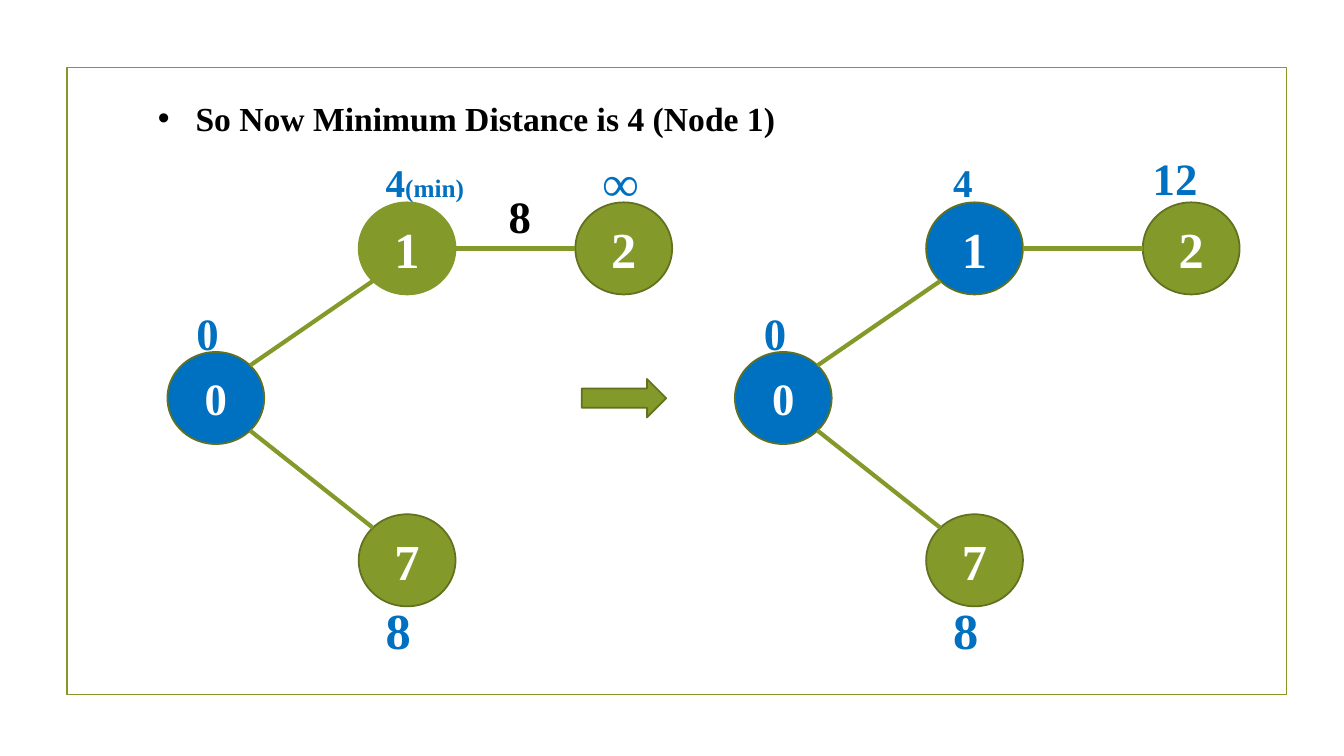
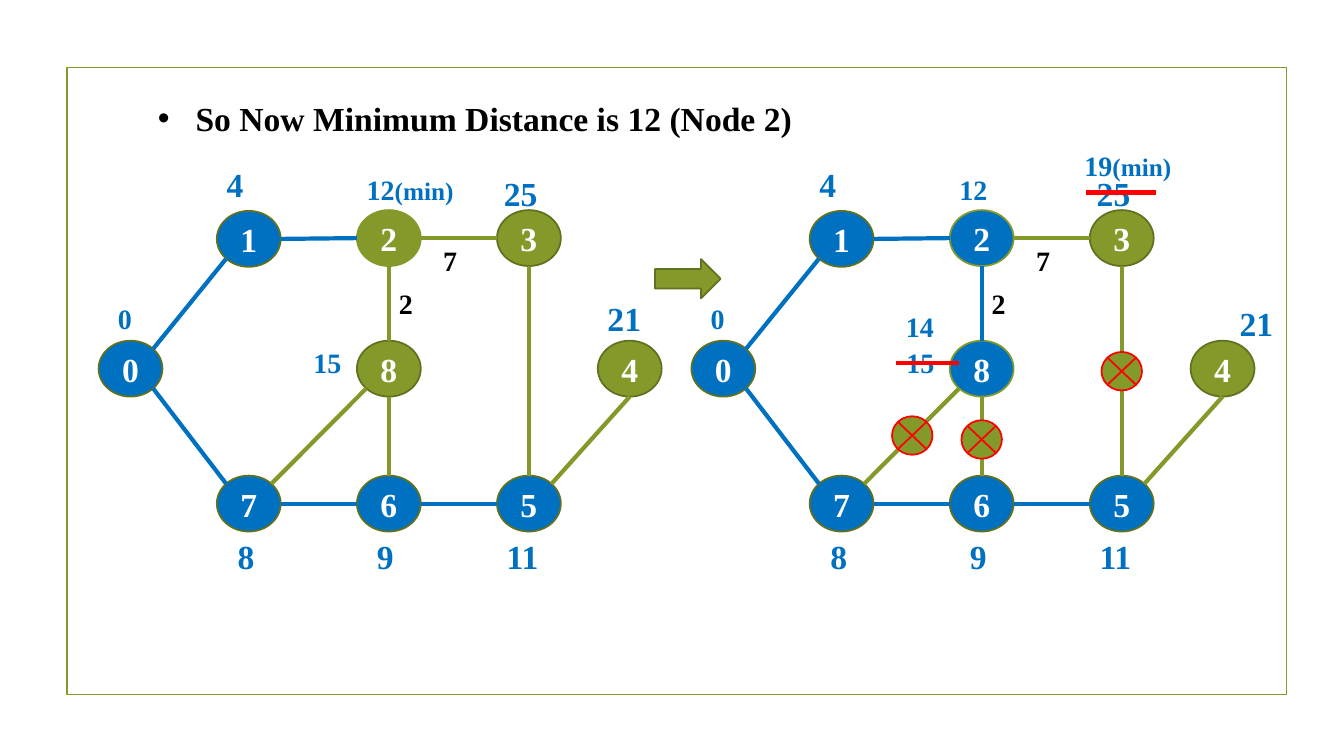
from math import sqrt

from pptx import Presentation
from pptx import util as u
from pptx.dml.color import RGBColor
from pptx.enum import shapes, text
from pptx.oxml.ns import qn
from lxml import etree

Cm, Pt = u.Cm, u.Pt

THEME = {
    "font": "Times New Roman",
    "olive": RGBColor(0x83, 0x99, 0x2A),
    "dark_olive": RGBColor(0x61, 0x71, 0x1F),
    "blue": RGBColor(0x00, 0x70, 0xC0),
    "red": RGBColor(0xFF, 0x00, 0x00),
    "black": RGBColor(0x00, 0x00, 0x00),
    "white": RGBColor(0xFF, 0xFF, 0xFF),
    "title_size": 24,
    "note_size": 18,
    "outline": 1.25,
    "edge": 3,
}

# Where an edge leaves a node, in radii from its centre
d = sqrt(0.5)
SIDES = {"N": (0, -1), "S": (0, 1), "W": (-1, 0), "E": (1, 0),
         "NW": (-d, -d), "NE": (d, -d), "SW": (-d, d), "SE": (d, d)}

# Nodes: centre x, centre y, type size. Edges: from, side, to, side.
# Labels: text, left, top, width, type size, colour.
# All places are in cm; graph parts are relative to the shift of their graph.
STEPS = [
    {
        "title": "So Now Minimum Distance is 4 (Node 1)",
        "node": (2.44, 2.32),
        "nodes": {"0": (5.44, 10.03, 32), "1": (10.26, 6.26, 36),
                  "2": (15.72, 6.26, 36), "7": (10.26, 14.12, 36)},
        "edges": ["0 NE 1 SW", "0 SE 7 NW", "1 E 2 W"],
        "labels": [("0", 4.7, 7.59, 0.91, 32, "blue"),
                   ("8", 9.47, 14.96, 1.98, 36, "blue")],
        "arrow": (14.66, 9.55, 2.13, 0.97),
        "graphs": [
            {"shift": 0, "done": "0", "olive_outline": "1", "tree": [],
             "labels": [("8", 12.57, 4.62, 1.75, 32, "black"),
                        ("4(min)", 9.47, 3.86, 3.1, 28, "blue"),
                        ("∞", 14.94, 3.68, 1.55, 36, "blue")],
             "strikes": [], "crosses": []},
            {"shift": 14.3, "done": "01", "olive_outline": "", "tree": [],
             "labels": [("4", 9.47, 3.86, 1.9, 28, "blue"),
                        ("12", 14.5, 3.68, 2.95, 32, "blue")],
             "strikes": [], "crosses": []},
        ],
    },
    {
        "title": "So Now Minimum Distance is 12 (Node 2)",
        "node": (1.61, 1.41),
        "nodes": {"0": (3.29, 9.29, 24), "1": (6.27, 6.02, 24),
                  "2": (9.8, 6, 24), "3": (13.33, 6, 24),
                  "4": (15.87, 9.29, 24), "5": (13.33, 12.69, 24),
                  "6": (9.8, 12.69, 24), "7": (6.27, 12.69, 24),
                  "8": (9.8, 9.29, 24)},
        "edges": ["0 NE 1 SW", "1 E 2 W", "0 SE 7 NW", "8 S 6 N",
                  "7 E 6 W", "6 E 5 W", "5 NE 4 S", "7 NE 8 SW",
                  "3 S 5 N", "2 S 8 N", "2 E 3 W"],
        "labels": [("0", 2.72, 7.47, 1.12, 20, "blue"),
                   ("4", 5.46, 4.01, 1.47, 24, "blue"),
                   ("15", 7.65, 8.59, 1.6, 20, "blue"),
                   ("8", 5.74, 13.39, 1.09, 24, "blue"),
                   ("9", 9.25, 13.39, 1.37, 24, "blue"),
                   ("11", 12.52, 13.39, 1.75, 24, "blue"),
                   ("25", 12.45, 4.22, 1.75, 24, "blue"),
                   ("2", 9.8, 7.09, 1.04, 20, "black"),
                   ("7", 10.92, 6.02, 1.52, 20, "black")],
        "arrow": (16.51, 6.53, 1.65, 0.99),
        "graphs": [
            {"shift": 0, "done": "01567", "olive_outline": "2",
             "tree": ["01", "12", "07", "76", "65"],
             "labels": [("12(min)", 8.99, 4.22, 3.81, 20, "blue"),
                        ("21", 15.06, 7.39, 1.75, 24, "blue")],
             "strikes": [], "crosses": []},
            {"shift": 14.94, "done": "0125678", "olive_outline": "28",
             "tree": ["01", "12", "07", "76", "65", "28"],
             "labels": [("12", 8.99, 4.22, 1.6, 20, "blue"),
                        ("21", 16.05, 7.52, 1.75, 24, "blue"),
                        ("19(min)", 12.14, 3.61, 3.91, 20, "blue"),
                        ("14", 7.64, 7.67, 2.08, 20, "blue")],
             "strikes": [(12.44, 14.19, 4.85), (7.64, 9.24, 9.14)],
             "crosses": [(8.05, 10.97), (9.8, 11.07), (13.33, 9.35)]},
        ],
    },
]


def add_figure(page, kind, left, top, width, height, fill, outline):
    figure = page.shapes.add_shape(
        kind, Cm(left), Cm(top), Cm(width), Cm(height))
    figure.shadow.inherit = False
    if fill:
        figure.fill.solid()
        figure.fill.fore_color.rgb = THEME[fill]
    else:
        figure.fill.background()
    figure.line.color.rgb = THEME[outline]
    figure.line.width = Pt(THEME["outline"])
    return figure


def write(box, words, size, colour):
    # A bracketed note after a number is set smaller
    box.text_frame.word_wrap = True
    para = box.text_frame.paragraphs[0]
    number, bracket, note = words.partition("(min)")
    for part, part_size in ((number, size), (bracket + note, THEME["note_size"])):
        if part:
            span = para.add_run()
            span.text = part
            span.font.name = THEME["font"]
            span.font.size = Pt(part_size)
            span.font.bold = True
            span.font.color.rgb = THEME[colour]
    return para


deck = Presentation()
deck.slide_width, deck.slide_height = Cm(33.87), Cm(19.05)

for step in STEPS:
    page = deck.slides.add_slide(deck.slide_layouts[6])

    # Frame
    add_figure(page, shapes.MSO_SHAPE.RECTANGLE,
               1.69, 1.7, 30.73, 15.8, None, "olive")

    # Bulleted title
    box = page.shapes.add_textbox(Cm(3.73), Cm(2.34), Cm(17.22), Cm(1.27))
    para = write(box, step["title"], THEME["title_size"], "black")
    layout = para._p.get_or_add_pPr()
    layout.set("marL", str(Cm(0.95)))
    layout.set("indent", str(-Cm(0.95)))
    etree.SubElement(layout, qn("a:buFont")).set("typeface", "Arial")
    etree.SubElement(layout, qn("a:buChar")).set("char", "•")

    # Arrow from the state before to the state after
    add_figure(page, shapes.MSO_SHAPE.RIGHT_ARROW, *step["arrow"],
               "olive", "dark_olive")

    width, height = step["node"]
    for graph in step["graphs"]:
        shift = graph["shift"]

        # Nodes
        for name, (x, y, size) in step["nodes"].items():
            node = add_figure(
                page, shapes.MSO_SHAPE.OVAL,
                x + shift - width / 2, y - height / 2, width, height,
                "blue" if name in graph["done"] else "olive",
                "olive" if name in graph["olive_outline"] else "dark_olive")
            node.text_frame.vertical_anchor = text.MSO_ANCHOR.MIDDLE
            para = write(node, name, size, "white")
            para.alignment = text.PP_ALIGN.CENTER

        # Edges, then the strokes through outdated distances
        lines = []
        for edge in step["edges"]:
            start, start_side, end, end_side = edge.split()
            ends = []
            for name, side in ((start, start_side), (end, end_side)):
                x, y, _ = step["nodes"][name]
                across, down = SIDES[side]
                ends += [x + across * width / 2, y + down * height / 2]
            lines.append((ends, "blue" if start + end in graph["tree"] else "olive"))
        for left, right, y in graph["strikes"]:
            lines.append(((left, y, right, y), "red"))

        # Distances and weights
        for words, left, top, room, size, colour in step["labels"] + graph["labels"]:
            box = page.shapes.add_textbox(
                Cm(left + shift), Cm(top), Cm(room), Cm(0.25) + Pt(size * 1.2))
            write(box, words, size, colour)

        for (x1, y1, x2, y2), colour in lines:
            line = page.shapes.add_connector(
                shapes.MSO_CONNECTOR.STRAIGHT,
                Cm(x1 + shift), Cm(y1), Cm(x2 + shift), Cm(y2))
            line.line.color.rgb = THEME[colour]
            line.line.width = Pt(THEME["edge"])
            etree.SubElement(line._element.spPr, qn("a:effectLst"))

        # Crosses on rejected edges
        for x, y in graph["crosses"]:
            add_figure(page, shapes.MSO_SHAPE.FLOWCHART_SUMMING_JUNCTION,
                       x + shift - 0.51, y - 0.48, 1.02, 0.97, "olive", "red")

deck.save("out.pptx")
